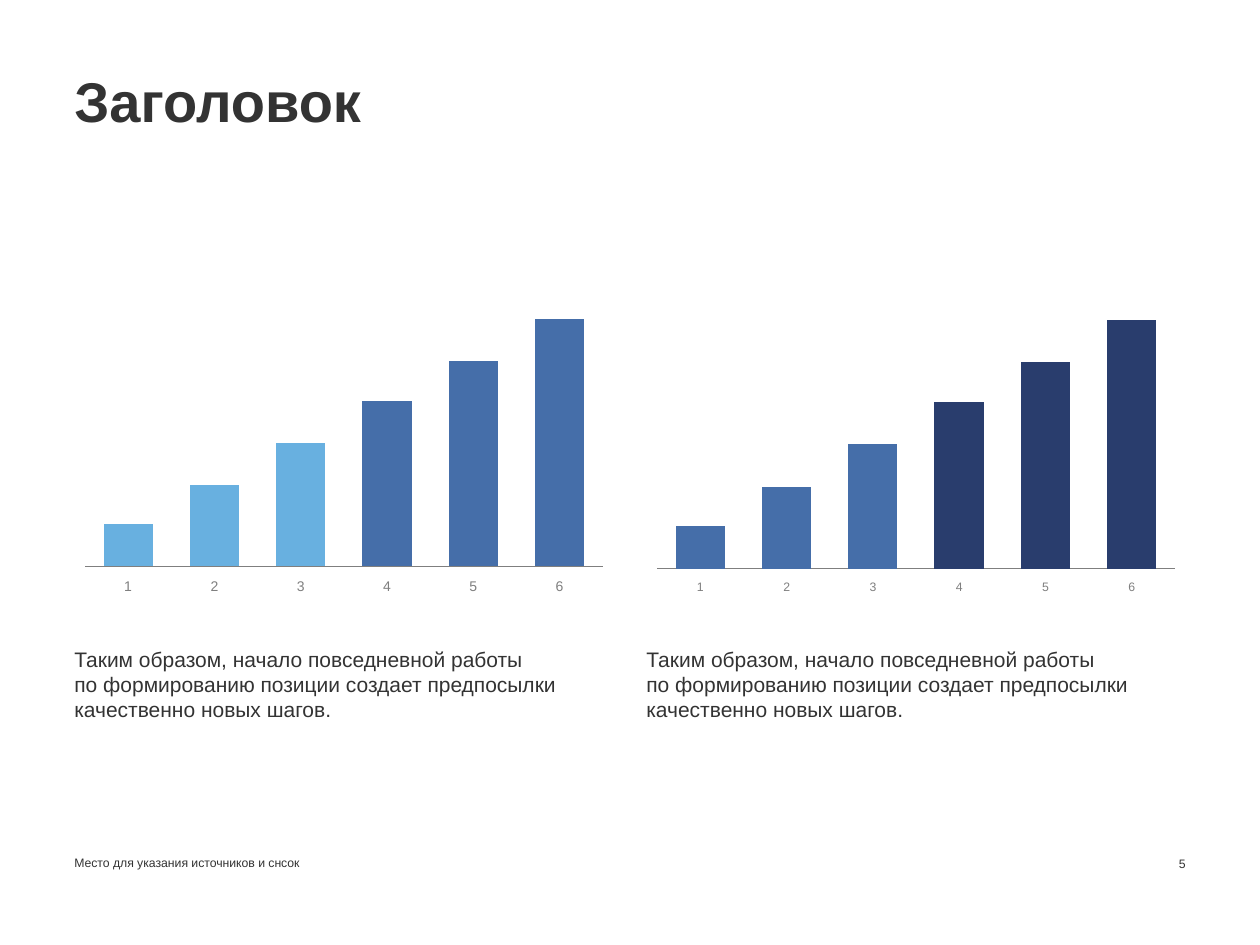
from lxml import etree
from pptx import Presentation
from pptx.chart.data import CategoryChartData as ChartData
from pptx.dml.color import RGBColor
from pptx.enum.chart import XL_CHART_TYPE as ChartType
from pptx.enum.chart import XL_TICK_LABEL_POSITION as LabelPosition
from pptx.enum.chart import XL_TICK_MARK as TickMark
from pptx.enum.text import MSO_ANCHOR as Anchor
from pptx.enum.text import MSO_AUTO_SIZE as AutoSize
from pptx.enum.text import PP_ALIGN as Align
from pptx.oxml.ns import qn
from pptx.util import Inches, Pt

COLORS = {"text": "333333", "axis": "7F7F7F", "light": "68B0E0",
          "mid": "456EA9", "dark": "293D6D"}
FONT = "Arial"
LEFT, RIGHT, COLUMN = 0.59, 5.13, 4.28
VALUES = [17, 33, 50, 67, 83, 100]
HIGHLIGHT_FROM = 3
CAPTION = ["Таким образом, начало повседневной работы",
           "по формированию позиции создает предпосылки качественно новых шагов."]


def color(name):
    return RGBColor.from_string(COLORS[name])


def apply(target, values):
    for name, value in values.items():
        setattr(target, name, value)


def write(box, area, lines, size, bold=False, anchor=Anchor.TOP,
          align=Align.LEFT, spacing=1.0):
    """Place a box and fill it with unbulleted paragraphs."""
    apply(box, dict(zip(("left", "top", "width", "height"), map(Inches, area))))
    frame = box.text_frame
    apply(frame, {"margin_left": 0, "margin_top": 0, "margin_right": 0,
                  "margin_bottom": 0, "word_wrap": True,
                  "auto_size": AutoSize.NONE, "vertical_anchor": anchor})
    for number, line in enumerate(lines):
        para = frame.add_paragraph() if number else frame.paragraphs[0]
        apply(para, {"alignment": align, "line_spacing": spacing,
                     "space_before": Pt(0), "space_after": Pt(0)})
        properties = para._p.get_or_add_pPr()
        properties.set("marL", "0")
        properties.set("indent", "0")
        etree.SubElement(properties, qn("a:buNone"))
        span = para.add_run()
        span.text = line
        apply(span.font, {"name": FONT, "size": Pt(size), "bold": bold})
        span.font.color.rgb = color("text")


def paint(item, name):
    item.format.fill.solid()
    item.format.fill.fore_color.rgb = color(name)


def add_columns(page, left, label_size, base, highlight):
    """Column chart whose later columns take the highlight colour."""
    data = ChartData()
    data.categories = [str(n) for n in range(1, len(VALUES) + 1)]
    data.add_series("Series 1", VALUES)
    chart = page.shapes.add_chart(
        ChartType.COLUMN_CLUSTERED, Inches(left), Inches(2.17),
        Inches(COLUMN), Inches(2.6), data).chart
    apply(chart, {"has_legend": False, "has_title": False})
    apply(chart.font, {"name": FONT, "size": Pt(label_size)})
    chart.font.color.rgb = color("axis")

    # Axes
    apply(chart.value_axis, {"visible": False, "has_major_gridlines": False,
                             "minimum_scale": 0, "maximum_scale": 116})
    axis = chart.category_axis
    apply(axis, {"major_tick_mark": TickMark.NONE,
                 "minor_tick_mark": TickMark.NONE,
                 "has_major_gridlines": False,
                 "tick_label_position": LabelPosition.LOW})
    axis.format.line.color.rgb = color("axis")
    axis.format.line.width = Pt(0.75)

    # Columns
    plot = chart.plots[0]
    apply(plot, {"gap_width": 75, "vary_by_categories": False})
    series = plot.series[0]
    paint(series, base)
    for index in range(HIGHLIGHT_FROM, len(VALUES)):
        paint(series.points[index], highlight)


def main():
    deck = Presentation()
    apply(deck, {"slide_width": Inches(10), "slide_height": Inches(7.5)})
    page = deck.slides.add_slide(deck.slide_layouts.get_by_name("Comparison"))
    title, left_body, source, right_body, spare = page.placeholders
    spare.element.getparent().remove(spare.element)

    # Title
    write(title, (LEFT, 0.59, 6.09, 0.5), ["Заголовок"], 32, bold=True,
          spacing=0.9)

    # Charts with captions
    for body, left, label_size, base, highlight in (
            (left_body, LEFT, 8, "light", "mid"),
            (right_body, RIGHT, 7, "mid", "dark")):
        add_columns(page, left, label_size, base, highlight)
        write(body, (left, 5.13, COLUMN, 1.02), CAPTION, 12)

    # Source note and page number
    write(source, (LEFT, 6.75, 5.18, 0.16),
          ["Место для указания источников и снсок"], 7, anchor=Anchor.BOTTOM,
          spacing=0.9)
    number = page.shapes.add_textbox(0, 0, 0, 0)
    write(number, (8.78, 6.75, 0.63, 0.16), ["5"], 7, anchor=Anchor.BOTTOM,
          align=Align.RIGHT)

    deck.save("out.pptx")


if __name__ == "__main__":
    main()
